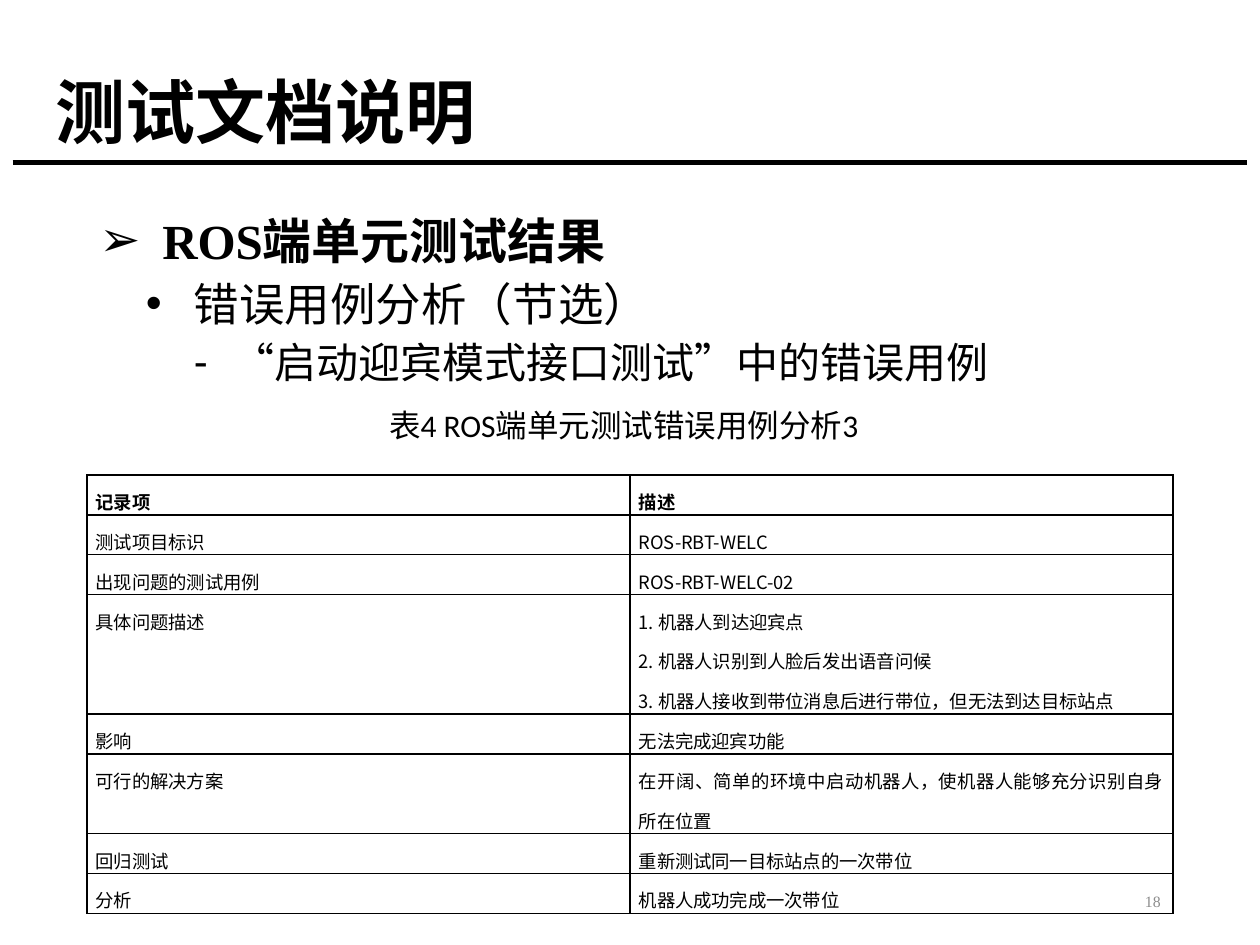
from lxml import etree
from pptx import Presentation
from pptx.dml.color import RGBColor
from pptx.enum.shapes import MSO_CONNECTOR
from pptx.enum.text import MSO_ANCHOR, PP_ALIGN
from pptx.oxml.ns import qn
from pptx.util import Inches, Pt

BLACK = RGBColor(0x00, 0x00, 0x00)
GRAY = RGBColor(0x8C, 0x8C, 0x8C)
LEFT, CENTER, RIGHT = PP_ALIGN.LEFT, PP_ALIGN.CENTER, PP_ALIGN.RIGHT
JUSTIFY = PP_ALIGN.JUSTIFY
MIDDLE = MSO_ANCHOR.MIDDLE
STRAIGHT = MSO_CONNECTOR.STRAIGHT
SERIF, SANS, CJK = "Times New Roman", "Calibri", "Noto Sans CJK SC"

# text, size, font, bold, bullet, left margin, hanging indent
OUTLINE = [
    ("ROS端单元测试结果", 28, SERIF, True, "➢", 0.5, 0.5),
    ("错误用例分析（节选）", 26, "Cambria", False, "•", 0.75, 0.38),
    ("“启动迎宾模式接口测试”中的错误用例", 24, SERIF, False, "-", 1.06, 0.31),
]

# item, description paragraphs, lines the row takes when wrapped
RECORDS = [
    ("记录项", ["描述"], 1),
    ("测试项目标识", ["ROS-RBT-WELC"], 1),
    ("出现问题的测试用例", ["ROS-RBT-WELC-02"], 1),
    ("具体问题描述", ["机器人到达迎宾点", "机器人识别到人脸后发出语音问候",
                "机器人接收到带位消息后进行带位，但无法到达目标站点"], 3),
    ("影响", ["无法完成迎宾功能"], 1),
    ("可行的解决方案", ["在开阔、简单的环境中启动机器人，使机器人能够充分识别自身所在位置"], 2),
    ("回归测试", ["重新测试同一目标站点的一次带位"], 1),
    ("分析", ["机器人成功完成一次带位"], 1),
]
TABLE_HEIGHT = 3.48
LINE_HEIGHT = TABLE_HEIGHT / sum(count for _, _, count in RECORDS)


def add_run(p, text, size=10.5, font=SERIF, bold=False, color=BLACK):
    r = p.add_run()
    r.text = text
    r.font.size = Pt(size)
    r.font.name = font
    r.font.bold = bold
    r.font.color.rgb = color


def next_paragraph(tf):
    """Return the empty first paragraph, or a new one after it."""
    p = tf.paragraphs[-1]
    return tf.add_paragraph() if p.runs else p


def add_text_box(s, left, top, width, height, anchor=MSO_ANCHOR.TOP):
    box = s.shapes.add_textbox(Inches(left), Inches(top), Inches(width), Inches(height))
    tf = box.text_frame
    tf.word_wrap = True
    tf.vertical_anchor = anchor
    return tf


def add_label(s, box, text, align, **style):
    p = add_text_box(s, *box, anchor=MIDDLE).paragraphs[0]
    p.alignment = align
    add_run(p, text, **style)


def set_bullet(p, char, margin, hanging):
    pPr = p._p.get_or_add_pPr()
    pPr.set("marL", str(Inches(margin)))
    pPr.set("indent", str(-Inches(hanging)))
    etree.SubElement(pPr, qn("a:buFont")).set("typeface", "Arial")
    etree.SubElement(pPr, qn("a:buChar")).set("char", char)


def add_title(s, text):
    title = s.shapes.title
    title.left, title.top = Inches(0.34), Inches(0.39)
    title.width, title.height = Inches(8.62), Inches(1.06)
    title.text_frame.vertical_anchor = MIDDLE
    p = title.text_frame.paragraphs[0]
    p.alignment = LEFT
    p.line_spacing = 0.9
    add_run(p, text, size=40, font=SANS, bold=True)


def add_rule(s):
    rule = s.shapes.add_connector(STRAIGHT, Inches(0.1), Inches(1.29),
                                  Inches(9.9), Inches(1.29))
    rule.line.color.rgb = BLACK
    rule.line.width = Pt(3)
    etree.SubElement(rule._element.spPr, qn("a:effectLst"))


def add_outline(s):
    tf = add_text_box(s, 0.69, 1.62, 8.62, 1.5)
    for level, (text, size, font, bold, char, margin, hanging) in enumerate(OUTLINE):
        p = next_paragraph(tf)
        p.level = level
        p.space_before = Pt(3.8 if level else 7.5)
        set_bullet(p, char, margin, hanging)
        add_run(p, text, size=size, font=font, bold=bold)


def set_borders(cell):
    tcPr = cell._tc.get_or_add_tcPr()
    for side in ("a:lnL", "a:lnR", "a:lnT", "a:lnB"):
        ln = etree.SubElement(tcPr, qn(side), w=str(Pt(1)))
        fill = etree.SubElement(ln, qn("a:solidFill"))
        etree.SubElement(fill, qn("a:srgbClr"), val=str(BLACK))


def fill_cell(cell, lines, bold):
    """Write one paragraph per line, numbered when there are several."""
    cell.margin_left = cell.margin_right = Inches(0.07)
    cell.margin_top = cell.margin_bottom = 0
    set_borders(cell)
    cell.fill.background()
    for number, line in enumerate(lines, 1):
        p = next_paragraph(cell.text_frame)
        p.alignment = JUSTIFY
        p.line_spacing = 1.5
        if len(lines) > 1:
            add_run(p, f"{number}. ", font=CJK)
        add_run(p, line, font=CJK if line.isascii() else SERIF, bold=bold)


def add_record_table(s):
    frame = s.shapes.add_table(len(RECORDS), 2, Inches(0.69), Inches(3.77),
                               Inches(8.62), Inches(TABLE_HEIGHT))
    table = frame.table
    table.first_row = table.horz_banding = False
    for i, (item, description, line_count) in enumerate(RECORDS):
        table.rows[i].height = Inches(line_count * LINE_HEIGHT)
        for j, lines in enumerate(([item], description)):
            fill_cell(table.cell(i, j), lines, bold=i == 0)


def main():
    prs = Presentation()
    prs.slide_width, prs.slide_height = Inches(10), Inches(7.5)
    s = prs.slides.add_slide(prs.slide_layouts[5])
    add_rule(s)
    add_title(s, "测试文档说明")
    add_outline(s)
    add_label(s, (7.06, 6.95, 2.25, 0.4), "18", RIGHT, size=9, color=GRAY)
    add_record_table(s)
    add_label(s, (1.72, 3.17, 6.46, 0.4), "表4 ROS端单元测试错误用例分析3", CENTER,
              size=18, font=SANS)
    prs.save("out.pptx")


if __name__ == "__main__":
    main()
